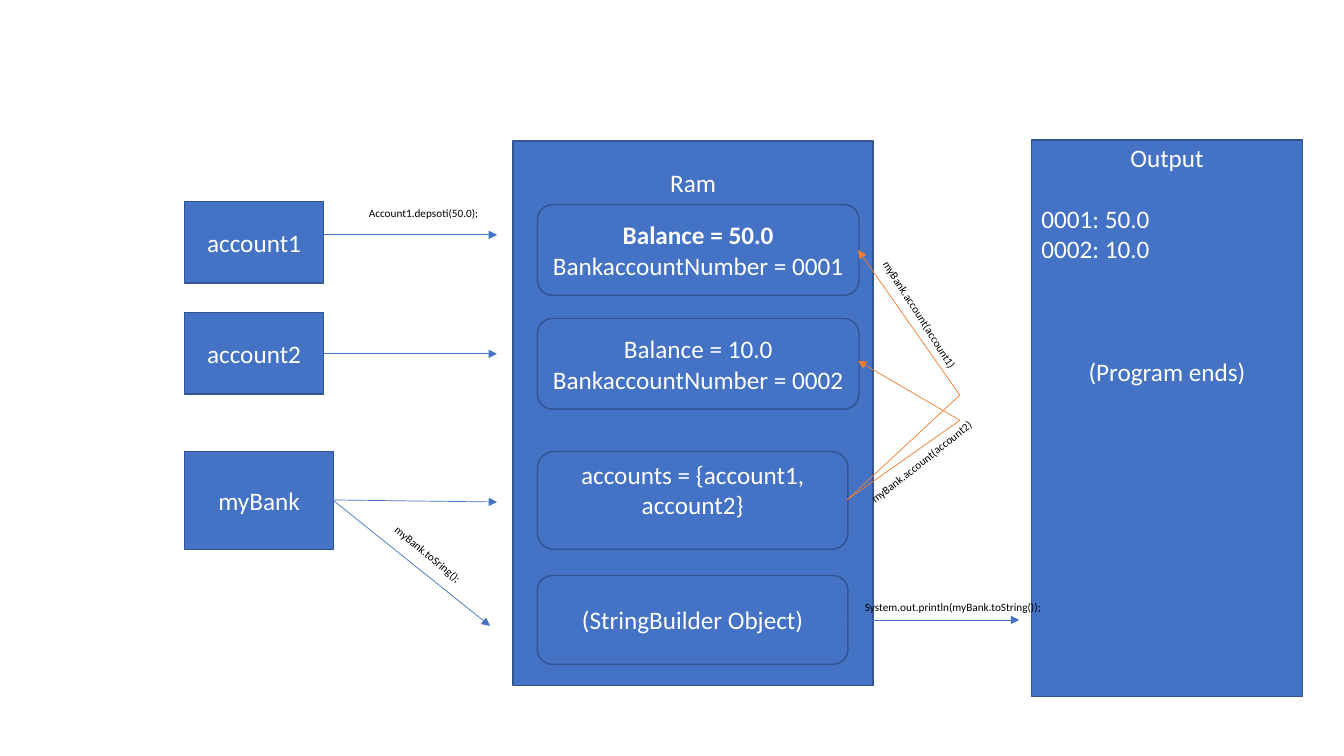
from dataclasses import dataclass

from lxml.etree import SubElement
from pptx import Presentation
from pptx.dml.color import RGBColor
from pptx.enum.shapes import MSO_CONNECTOR, MSO_SHAPE
from pptx.enum.text import MSO_ANCHOR, MSO_AUTO_SIZE, PP_ALIGN
from pptx.oxml.ns import qn
from pptx.util import Pt

EMU_PER_PX = 9144


@dataclass(frozen=True)
class Theme:
    font: str = "Calibri"
    blue: RGBColor = RGBColor(0x44, 0x72, 0xC4)
    border: RGBColor = RGBColor(0x32, 0x54, 0x91)
    orange: RGBColor = RGBColor(0xED, 0x7D, 0x31)
    white: RGBColor = RGBColor(0xFF, 0xFF, 0xFF)
    black: RGBColor = RGBColor(0, 0, 0)
    body: int = 18
    small: int = 8
    border_width: float = 1
    arrow_width: float = 0.5


@dataclass(frozen=True)
class Line:
    text: str
    bold: bool = False
    align: PP_ALIGN = PP_ALIGN.CENTER
    before: int = 0


THEME = Theme()


def px(*lengths):
    return [length * EMU_PER_PX for length in lengths]


def add_span(para, text, size, color, bold=False):
    span = para.add_run()
    span.text = text
    span.font.name = THEME.font
    span.font.size = Pt(size)
    span.font.color.rgb = color
    span.font.bold = bold


def add_box(page, kind, place, lines, top_margin=None):
    box = page.shapes.add_shape(kind, *px(*place))
    box.shadow.inherit = False
    box.fill.solid()
    box.fill.fore_color.rgb = THEME.blue
    box.line.color.rgb = THEME.border
    box.line.width = Pt(THEME.border_width)
    frame = box.text_frame
    frame.word_wrap = True
    frame.vertical_anchor = MSO_ANCHOR.MIDDLE
    if top_margin is not None:
        frame.vertical_anchor = MSO_ANCHOR.TOP
        frame.margin_top = px(top_margin)[0]
    for index, line in enumerate(lines):
        para = frame.add_paragraph() if index else frame.paragraphs[0]
        para.alignment = line.align
        para.space_before = Pt(line.before)
        add_span(para, line.text, THEME.body, THEME.white, line.bold)


def add_label(page, text, left, top, width, rotation=0):
    box = page.shapes.add_textbox(*px(left, top, width, 24))
    box.rotation = rotation
    frame = box.text_frame
    frame.word_wrap = rotation != 0
    frame.auto_size = MSO_AUTO_SIZE.SHAPE_TO_FIT_TEXT
    add_span(frame.paragraphs[0], text, THEME.small, THEME.black)


def add_line(page, start, end, color, arrow=True):
    line = page.shapes.add_connector(MSO_CONNECTOR.STRAIGHT, *px(*start, *end))
    line.line.color.rgb = color
    line.line.width = Pt(THEME.arrow_width)
    if arrow:
        SubElement(line.line._get_or_add_ln(), qn("a:tailEnd"), type="triangle")
    SubElement(line._element.spPr, qn("a:effectLst"))


def add_variables(page):
    for name, top, width, height in (
        ("account1", 200, 138, 81),
        ("account2", 310, 138, 81),
        ("myBank", 448, 148, 97),
    ):
        add_box(page, MSO_SHAPE.RECTANGLE, (183, top, width, height), [Line(name)])


def add_memory(page):
    add_box(page, MSO_SHAPE.RECTANGLE, (509, 140, 357, 540), [Line("Ram")], 26)
    for top, width, height, lines, margin in (
        (203, 319, 90, [Line("Balance = 50.0", bold=True), Line("BankaccountNumber = 0001")], None),
        (316, 319, 90, [Line("Balance = 10.0"), Line("BankaccountNumber = 0002")], None),
        (448, 308, 97, [Line("accounts = {account1, account2}")], 3),
        (571, 308, 88, [Line("(StringBuilder Object)")], None),
    ):
        add_box(page, MSO_SHAPE.ROUNDED_RECTANGLE, (533, top, width, height), lines, margin)


def add_output(page):
    lines = [
        Line("Output"),
        Line("0001: 50.0", align=PP_ALIGN.LEFT, before=22),
        Line("0002: 10.0", align=PP_ALIGN.LEFT),
        Line("(Program ends)", before=66),
    ]
    add_box(page, MSO_SHAPE.RECTANGLE, (1023, 139, 269, 552), lines, 2)


def add_calls(page):
    bank = (330, 496)
    for start, end in (
        ((312, 233), (493, 233)),
        ((312, 351), (493, 351)),
        (bank, (493, 498)),
        (bank, (486, 621)),
        ((840, 615), (1011, 615)),
    ):
        add_line(page, start, end, THEME.blue)
    for bend, target in (((952, 392), (851, 248)), ((952, 417), (851, 358))):
        add_line(page, (840, 496), bend, THEME.orange, arrow=False)
        add_line(page, bend, target, THEME.orange)
    for label in (
        ("Account1.depsoti(50.0);", 356, 200, 130),
        ("myBank.toSring();", 373, 541, 110, 39.7),
        ("myBank.account(account1)", 839, 302, 148, 57.4),
        ("myBank.account(account2)", 842, 445, 148, 321.6),
        ("System.out.println(myBank.toString());", 848, 591, 197),
    ):
        add_label(page, *label)


def main():
    deck = Presentation()
    deck.slide_width, deck.slide_height = px(1333, 750)
    page = deck.slides.add_slide(deck.slide_layouts[6])
    add_variables(page)
    add_memory(page)
    add_output(page)
    add_calls(page)
    deck.save("out.pptx")


if __name__ == "__main__":
    main()
